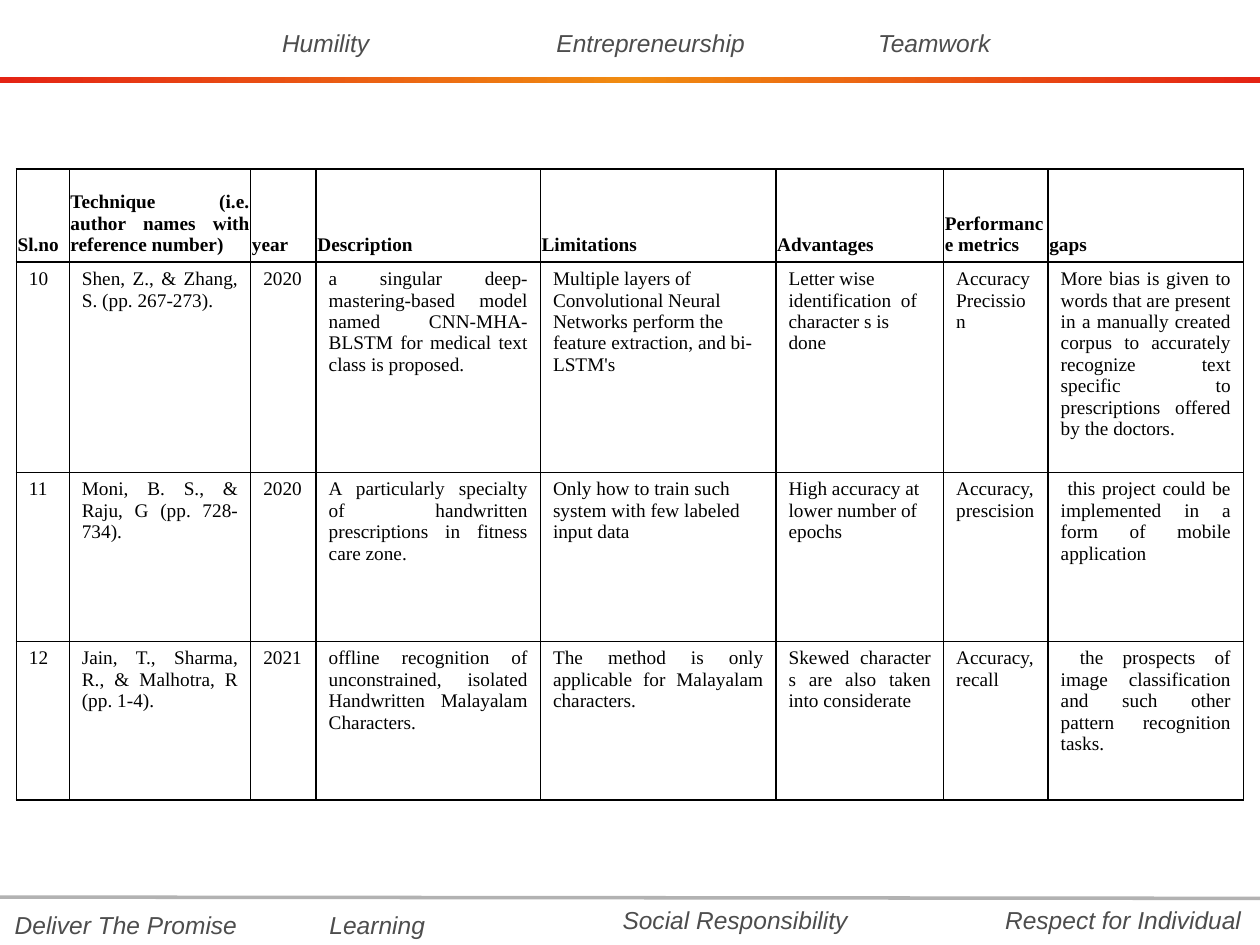
from lxml import etree
from pptx import Presentation
from pptx.dml.color import RGBColor
from pptx.enum import shapes, text
from pptx.oxml import parse_xml
from pptx.oxml.ns import nsdecls, qn
from pptx.util import Inches, Pt

GREY = RGBColor(0x4D, 0x4D, 0x4D)
RULE = RGBColor(0xB2, 0xB2, 0xB2)
BLACK = RGBColor(0, 0, 0)
WHITE = RGBColor(0xFF, 0xFF, 0xFF)
RED = RGBColor(0xE4, 0x23, 0x14)
AMBER = RGBColor(0xF0, 0x8C, 0x12)

# Values around the frame: words, left, top, width
VALUES = [
    ("Humility", 1.92, 0.17, 1.33),
    ("Entrepreneurship", 4.08, 0.17, 2.17),
    ("Teamwork", 6.33, 0.17, 2.17),
    ("Deliver The Promise", 0, 7.17, 2),
    ("Learning", 2.33, 7.17, 1.33),
    ("Social Responsibility", 4.75, 7.13, 2.17),
    ("Respect for Individual", 7.83, 7.13, 2.17),
]

# Literature table
COLS = [0.42, 1.44, 0.52, 1.78, 1.87, 1.33, 0.83, 1.55]
ROWS = [0.74, 1.67, 1.34, 1.26]
PAPERS = [
    ["Sl.no", "Technique (i.e. author names with reference number)", "year",
     "Description", "Limitations", "Advantages", "Performance metrics", "gaps"],
    ["10", "Shen, Z., & Zhang, S. (pp. 267-273). ", "2020",
     "a singular deep-mastering-based model named CNN-MHA-BLSTM for medical "
     "text class is proposed.",
     "Multiple layers of Convolutional Neural Networks perform the feature "
     "extraction, and bi-LSTM's",
     "Letter wise identification  of character s is done",
     "Accuracy\nPrecission",
     "More bias is given to words that are present in a manually created "
     "corpus to accurately recognize text specific to prescriptions offered "
     "by the doctors. "],
    ["11", "Moni, B. S., & Raju, G (pp. 728-734).", "2020",
     "A particularly specialty of handwritten prescriptions in fitness care zone.",
     "Only how to train such system with few labeled input data",
     "High accuracy at lower number of epochs",
     "Accuracy,prescision",
     " this project could be implemented in a form of mobile application "],
    ["12", "Jain, T., Sharma, R., & Malhotra, R (pp. 1-4). ", "2021",
     "offline recognition of unconstrained, isolated Handwritten Malayalam "
     "Characters.",
     "The method is only applicable for Malayalam characters.",
     "Skewed character s are also taken into considerate ",
     "Accuracy, recall",
     " the prospects of image classification and such other pattern "
     "recognition tasks. "],
]
RAGGED = {(1, 4), (1, 5), (2, 4), (2, 5)}  # left-aligned cells


def style(frame, align, face, size, color, bold=False, italic=False):
    for par in frame.paragraphs:
        par.alignment = align
        for run in par.runs:
            font = run.font
            font.name, font.size = face, Pt(size)
            font.bold, font.italic = bold, italic
            font.color.rgb = color


def border(cell):
    props = cell._tc.get_or_add_tcPr()
    for side in ("lnL", "lnR", "lnT", "lnB"):
        props.append(parse_xml(
            f'<a:{side} {nsdecls("a")} w="{Pt(0.96)}"><a:solidFill>'
            f'<a:srgbClr val="{BLACK}"/></a:solidFill></a:{side}>'))


prs = Presentation()
prs.slide_width, prs.slide_height = Inches(10), Inches(7.5)
slide = prs.slides.add_slide(prs.slide_layouts[6])

# Value words
for words, left, top, width in VALUES:
    box = slide.shapes.add_textbox(
        Inches(left), Inches(top), Inches(width), Inches(0.33))
    frame = box.text_frame
    frame.word_wrap = True
    frame.text = words
    style(frame, text.PP_ALIGN.CENTER, "Arial", 14, GREY, italic=True)

# Gradient bar under the top words
bar = slide.shapes.add_shape(
    shapes.MSO_SHAPE.RECTANGLE, 0, Inches(0.61), Inches(10), Inches(0.05))
bar.shadow.inherit = False
bar.line.fill.background()
bar.fill.gradient()
bar.fill.gradient_angle = 0
stops = bar._element.spPr.find(qn("a:gradFill")).find(qn("a:gsLst"))
for stop in list(stops):
    stops.remove(stop)
for place, color in ((0, RED), (50, AMBER), (100, RED)):
    stops.append(parse_xml(
        f'<a:gs {nsdecls("a")} pos="{place * 1000}">'
        f'<a:srgbClr val="{color}"/></a:gs>'))

# Rule above the bottom words
rule = slide.shapes.add_connector(
    shapes.MSO_CONNECTOR.STRAIGHT, 0, Inches(7.12), Inches(10), Inches(7.13))
rule.line.color.rgb = RULE
rule.line.width = Pt(2)
etree.SubElement(rule._element.spPr, qn("a:effectLst"))

# Table
table = slide.shapes.add_table(
    len(ROWS), len(COLS), Inches(0.13), Inches(1.34),
    Inches(sum(COLS)), Inches(sum(ROWS))).table
table.first_row = table.horz_banding = False
for col, width in zip(table.columns, COLS):
    col.width = Inches(width)
for row, height in zip(table.rows, ROWS):
    row.height = Inches(height)
for r, paper in enumerate(PAPERS):
    for c, words in enumerate(paper):
        cell = table.cell(r, c)
        head = r == 0
        cell.text_frame.text = words
        cell.margin_left = cell.margin_right = Inches(0.01 if head else 0.1)
        cell.margin_top = cell.margin_bottom = Inches(0.05)
        cell.vertical_anchor = (
            text.MSO_ANCHOR.BOTTOM if head else text.MSO_ANCHOR.TOP)
        align = (text.PP_ALIGN.LEFT if (r, c) in RAGGED
                 else text.PP_ALIGN.JUSTIFY)
        style(cell.text_frame, align, "Times New Roman", 11, BLACK, bold=head)
        border(cell)
        cell.fill.solid()
        cell.fill.fore_color.rgb = WHITE

prs.save("out.pptx")
